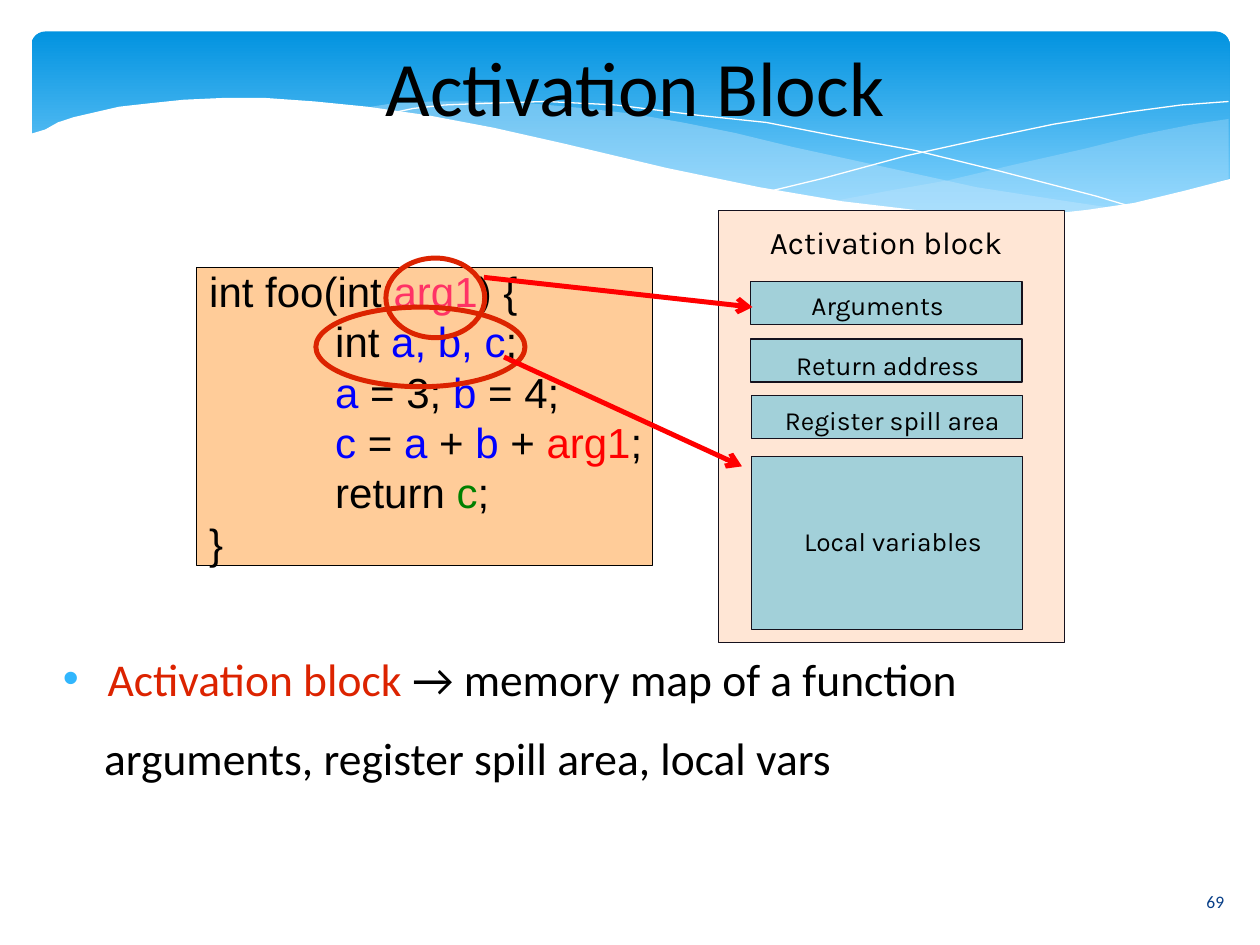
"""Build the Activation Block slide with its wave header, code sample and memory map."""
import pptx
import pptx.dml.color
import pptx.enum.shapes
import pptx.enum.text
import pptx.oxml
import pptx.oxml.ns
import pptx.util

Pt = pptx.util.Pt
qn = pptx.oxml.ns.qn
NAMESPACE = pptx.oxml.ns.nsdecls("a")
SHAPE = pptx.enum.shapes.MSO_SHAPE
ALIGN = pptx.enum.text.PP_ALIGN
ANCHOR = pptx.enum.text.MSO_ANCHOR
rgb = pptx.dml.color.RGBColor.from_string


def style(shape, fill=None, line=None, width=0):
    shape.shadow.inherit = False
    if fill:
        shape.fill.solid()
        shape.fill.fore_color.rgb = rgb(fill)
    else:
        shape.fill.background()
    if line:
        shape.line.color.rgb = rgb(line)
        shape.line.width = Pt(width)
    else:
        shape.line.fill.background()


def write(paragraph, runs, font, size, align=ALIGN.LEFT):
    paragraph.alignment = align
    for text, color in runs:
        run = paragraph.add_run()
        run.text = text
        run.font.name = font
        run.font.size = Pt(size)
        run.font.color.rgb = rgb(color)


deck = pptx.Presentation()
deck.slide_width, deck.slide_height = Pt(720), Pt(540)
slide = deck.slides.add_slide(deck.slide_layouts[1])
shapes = slide.shapes

banner = shapes.add_shape(SHAPE.ROUNDED_RECTANGLE, Pt(18), Pt(18), Pt(684.7), Pt(112.3))
style(banner)
banner.adjustments[0] = 0.07
banner.fill.gradient()
banner.fill.gradient_angle = 270
for stop, color, position in zip(banner.fill.gradient_stops, ("0293E0", "83D3FE"), (0, 0.9)):
    stop.color.rgb = rgb(color)
    stop.position = position

right_ribbon = [
    (702.5, 68), (682, 71), (652, 77), (620, 85), (580, 94), (542, 103), (508, 109), (476, 115),
    (508, 119), (536, 122), (562, 123.5), (586, 124), (608, 123), (634, 120), (663, 115),
    (683, 110), (702.5, 102)]
middle_ribbon = [
    (643, 120), (603, 114.5), (558, 107), (508, 96.5), (453, 83.5), (420, 76), (390, 70), (361, 65),
    (335, 62), (302, 59), (274, 57.5), (248, 57.5), (225, 59), (206, 62), (233, 65), (261, 70),
    (291, 76), (323, 83.5), (382, 97), (433, 108), (479, 115), (521, 120), (557, 123),
    (590, 124.5), (617, 123.5)]
falling_thread = [
    (222.5, 65), (236, 62), (254, 60), (279, 59), (312, 58.5), (352, 60.5), (400, 65.5),
    (438, 70.5), (479, 78), (523, 86.5), (572, 98), (626, 111.5), (653, 119.5)]
rising_thread = [
    (441, 109), (470, 101.5), (518, 89), (559, 80), (602, 71), (645, 63.5), (675, 60), (702, 57.5)]
white_wave = [
    (703.5, 101.5), (677, 109), (648, 116), (621, 120.5), (593, 123), (560, 123), (523, 120),
    (481, 115), (434, 107), (381, 96), (322, 82), (282, 73), (245, 66), (210, 61), (180, 58),
    (152, 56.5), (127, 56), (105, 57), (86, 59), (68, 61), (55, 64), (42.5, 67), (33, 70.5),
    (26, 73.5), (16.5, 77), (16.5, 161), (703.5, 161)]
waves = [
    (right_ribbon, "C6E7FC", None, 29),
    (middle_ribbon, "C6E7FC", None, 40),
    (falling_thread, None, "FFFFFF", 100),
    (rising_thread, None, "FFFFFF", 100),
    (white_wave, "FFFFFF", None, 100)]
for points, fill, line, opacity in waves:
    outline = shapes.build_freeform(*points[0], scale=Pt(1))
    outline.add_line_segments(points[1:], close=fill is not None)
    wave = outline.convert_to_shape()
    style(wave, fill, line)
    if opacity < 100:
        color_node = wave._element.spPr.find(qn("a:solidFill"))[0]
        color_node.append(pptx.oxml.parse_xml(f'<a:alpha {NAMESPACE} val="{opacity * 1000}"/>'))

title, body = shapes.title, slide.placeholders[1]
for holder, box in ((title, (18, 12, 690, 73.5)), (body, (27.5, 372, 669, 114))):
    shapes._spTree.append(holder._element)
    holder.left, holder.top, holder.width, holder.height = map(Pt, box)
    frame = holder.text_frame
    frame.margin_left = frame.margin_top = frame.margin_right = frame.margin_bottom = 0
    frame.auto_size = pptx.enum.text.MSO_AUTO_SIZE.NONE
title.text_frame.vertical_anchor = ANCHOR.MIDDLE
write(title.text_frame.paragraphs[0], [("Activation Block", "000000")], "Calibri", 44, ALIGN.CENTER)

bullet = ('<a:buClr {0}><a:srgbClr val="31B6FD"/></a:buClr>', '<a:buFont {0} typeface="Arial"/>',
          '<a:buChar {0} char="•"/>')
summary = [
    ([("Activation block", "DC2300"), (" → memory map of a function", "000000")], 34, -25.5, bullet),
    ([("arguments, register spill area, local vars", "000000")], 32, 0, ("<a:buNone {0}/>",))]
for index, (runs, margin, indent, marks) in enumerate(summary):
    paragraph = body.text_frame.add_paragraph() if index else body.text_frame.paragraphs[0]
    write(paragraph, runs, "Calibri", 26)
    paragraph.space_before, paragraph.space_after = Pt(0), Pt(14)
    properties = paragraph._p.get_or_add_pPr()
    properties.set("marL", str(Pt(margin)))
    properties.set("indent", str(Pt(indent)))
    for mark in marks:
        properties.append(pptx.oxml.parse_xml(mark.format(NAMESPACE)))

page_number = shapes.add_textbox(Pt(672.5), Pt(500.5), Pt(44), Pt(29)).text_frame
page_number.word_wrap = True
page_number.vertical_anchor = ANCHOR.MIDDLE
write(page_number.paragraphs[0], [("69", "073E87")], "Calibri", 10, ALIGN.CENTER)

code_box = shapes.add_shape(SHAPE.RECTANGLE, Pt(112.5), Pt(153), Pt(260.5), Pt(170))
style(code_box, "FFCC99", "000000")
code = code_box.text_frame
code.word_wrap = False
code.vertical_anchor = ANCHOR.MIDDLE
BLACK, BLUE = "000000", "0000FF"
code_lines = [
    [("int foo(int ", BLACK), ("arg1", "FF3366"), (") {", BLACK)],
    [("\tint ", BLACK), ("a, b, c", BLUE), (";", BLACK)],
    [("\t", BLACK), ("a", BLUE), (" = 3; ", BLACK), ("b", BLUE), (" = 4;", BLACK)],
    [("\t", BLACK), ("c", BLUE), (" = ", BLACK), ("a ", BLUE), ("+", BLACK), (" b", BLUE),
     (" + ", BLACK), ("arg1", "FF0000"), (";", BLACK)],
    [("\treturn ", BLACK), ("c", "008000"), (";", BLACK)],
    [("}", BLACK)]]
for index, runs in enumerate(code_lines):
    paragraph = code.add_paragraph() if index else code.paragraphs[0]
    write(paragraph, runs, "Arial", 24)
    paragraph.line_spacing = Pt(28.8)
    paragraph._p.get_or_add_pPr().append(pptx.oxml.parse_xml(
        f'<a:tabLst {NAMESPACE}><a:tab pos="{Pt(72)}" algn="l"/></a:tabLst>'))

for left, top, width in ((220.5, 147.5, 56.5), (180.5, 175.5, 119.5)):
    ring = shapes.add_shape(SHAPE.OVAL, Pt(left), Pt(top), Pt(width), Pt(45.5))
    style(ring, line="DC2300", width=2.83)

memory_map = [
    ("Activation block", 18, "FFE6D5", (410.5, 120.2, 198, 247), (440, 127.5, 133, 24.5)),
    ("Arguments", 15, "A2D0D9", (429, 160.8, 155, 24.5), (463.7, 165.2, 84, 21.5)),
    ("Return address", 15, "A2D0D9", (429, 193.8, 155, 24.5), (455, 199.5, 116.5, 21.5)),
    ("Register spill area", 15, "A2D0D9", (429.5, 226, 155, 24.5), (448.5, 231, 135.5, 21.5)),
    ("Local variables", 15, "A2D0D9", (429.5, 260.8, 155, 99), (459.5, 300, 114, 21.5))]
for name, size, fill, area, label_box in memory_map:
    style(shapes.add_shape(SHAPE.RECTANGLE, *map(Pt, area)), fill, "15111D")
    label = shapes.add_textbox(*map(Pt, label_box)).text_frame
    label.margin_left = label.margin_top = label.margin_right = label.margin_bottom = 0
    label.word_wrap = False
    write(label.paragraphs[0], [(name, "000000")], "Karla", size)

for ends in ((288, 204, 424, 266.5), (276.5, 158.5, 430, 175.5)):
    pointer = shapes.add_connector(pptx.enum.shapes.MSO_CONNECTOR.STRAIGHT, *map(Pt, ends))
    pointer.line.color.rgb = rgb("FF0000")
    pointer.line.width = Pt(2.83)
    pointer.line._get_or_add_ln().append(pptx.oxml.parse_xml(
        f'<a:tailEnd {NAMESPACE} type="arrow"/>'))
    pointer._element.spPr.append(pptx.oxml.parse_xml(f'<a:effectLst {NAMESPACE}/>'))

deck.save("out.pptx")
